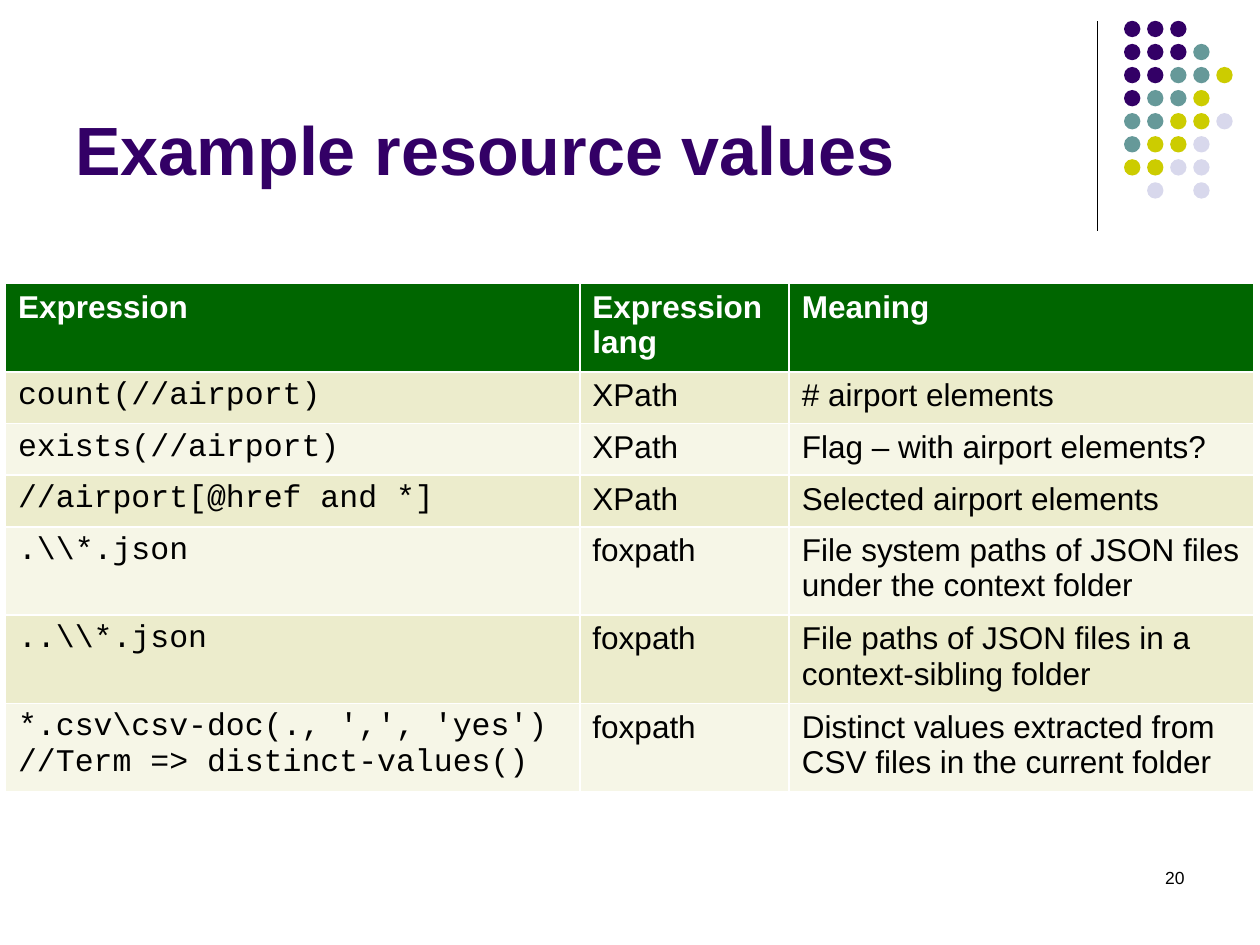
from pptx import Presentation
from pptx.dml.color import RGBColor
from pptx.enum.shapes import MSO_CONNECTOR as Connector, MSO_SHAPE as Shape
from pptx.enum.text import MSO_ANCHOR as Anchor, PP_ALIGN as Align
from pptx.oxml.ns import qn
from pptx.util import Cm, Pt
from lxml.etree import SubElement

COLORS = {
    "purple": "330066", "teal": "669999", "olive": "CCCC00", "lavender": "D8D8EC",
    "green": "006600", "band_dark": "ECECCC", "band_light": "F6F6E7",
    "white": "FFFFFF", "black": "000000",
}
TITLE = "Example resource values"
PAGE_NUMBER = "20"
HEADER = ("Expression", "Expression lang", "Meaning")
ROWS = [
    ("count(//airport)", "XPath", "# airport elements"),
    ("exists(//airport)", "XPath", "Flag – with airport elements?"),
    ("//airport[@href and *]", "XPath", "Selected airport elements"),
    (r".\\*.json", "foxpath", "File system paths of JSON files under the context folder"),
    (r"..\\*.json", "foxpath", "File paths of JSON files in a context-sibling folder"),
    ("*.csv\\csv-doc(., ',', 'yes')\n//Term => distinct-values()", "foxpath",
     "Distinct values extracted from CSV files in the current folder"),
]
COLUMN_WIDTHS = (11.58, 4.22, 9.37)
ROW_HEIGHT = 1.04

# One letter per dot; a space leaves the place empty
DOT_ROWS = ("PPP", "PPPT", "PPTTO", "PTTO", "TTOOL", "TOOL", "OOLL", " L L")
DOT_COLORS = {"P": "purple", "T": "teal", "O": "olive", "L": "lavender"}
DOT_LEFT, DOT_TOP, DOT_PITCH, DOT_SIZE = 22.66, 0.42, 0.465, 0.33


def rgb(name):
    return RGBColor.from_string(COLORS[name])


def write(text_frame, text, size, color, font="Arial", bold=False, align=None):
    text_frame.word_wrap = True
    text_frame.text = text
    for paragraph in text_frame.paragraphs:
        paragraph.alignment = align
        for run in paragraph.runs:
            run.font.name = font
            run.font.size = Pt(size)
            run.font.bold = bold
            run.font.color.rgb = rgb(color)


def add_text(slide, box, text, size, color, anchor=Anchor.TOP, **style):
    text_frame = slide.shapes.add_textbox(*map(Cm, box)).text_frame
    text_frame.vertical_anchor = anchor
    write(text_frame, text, size, color, **style)


def add_divider(slide):
    line = slide.shapes.add_connector(
        Connector.STRAIGHT, Cm(22.12), Cm(0.43), Cm(22.12), Cm(4.65))
    line.line.color.rgb = rgb("black")
    line.line.width = Pt(0.75)
    SubElement(line._element.spPr, qn("a:effectLst"))


def add_dots(slide):
    group = slide.shapes.add_group_shape()
    for row, letters in enumerate(DOT_ROWS):
        for column, letter in enumerate(letters):
            if letter == " ":
                continue
            dot = group.shapes.add_shape(
                Shape.OVAL, Cm(DOT_LEFT + column * DOT_PITCH),
                Cm(DOT_TOP + row * DOT_PITCH), Cm(DOT_SIZE), Cm(DOT_SIZE))
            dot.shadow.inherit = False
            dot.fill.solid()
            dot.fill.fore_color.rgb = rgb(DOT_COLORS[letter])
            dot.line.fill.background()


def add_expression_table(slide):
    """The default table style supplies the white cell borders."""
    records = [HEADER, *ROWS]
    table = slide.shapes.add_table(
        len(records), len(HEADER), Cm(0.11), Cm(5.72),
        Cm(sum(COLUMN_WIDTHS)), Cm(ROW_HEIGHT * len(records))).table
    for column, width in zip(table.columns, COLUMN_WIDTHS):
        column.width = Cm(width)
    for r, record in enumerate(records):
        is_header = r == 0
        fill = "green" if is_header else "band_dark" if r % 2 else "band_light"
        for c, text in enumerate(record):
            cell = table.cell(r, c)
            cell.fill.solid()
            cell.fill.fore_color.rgb = rgb(fill)
            write(cell.text_frame, text, 18, "white" if is_header else "black",
                  font="Courier New" if c == 0 and not is_header else "Arial",
                  bold=is_header)


def main():
    presentation = Presentation()
    presentation.slide_width, presentation.slide_height = Cm(25.4), Cm(19.05)
    slide = presentation.slides.add_slide(presentation.slide_layouts[6])
    add_divider(slide)
    add_dots(slide)
    add_text(slide, (1.27, 0.33, 20.96, 3.6), TITLE, 39, "purple",
             anchor=Anchor.BOTTOM, bold=True)
    add_expression_table(slide)
    add_text(slide, (18.2, 17.35, 5.93, 1.27), PAGE_NUMBER, 10, "black",
             align=Align.RIGHT)
    presentation.save("out.pptx")


if __name__ == "__main__":
    main()
